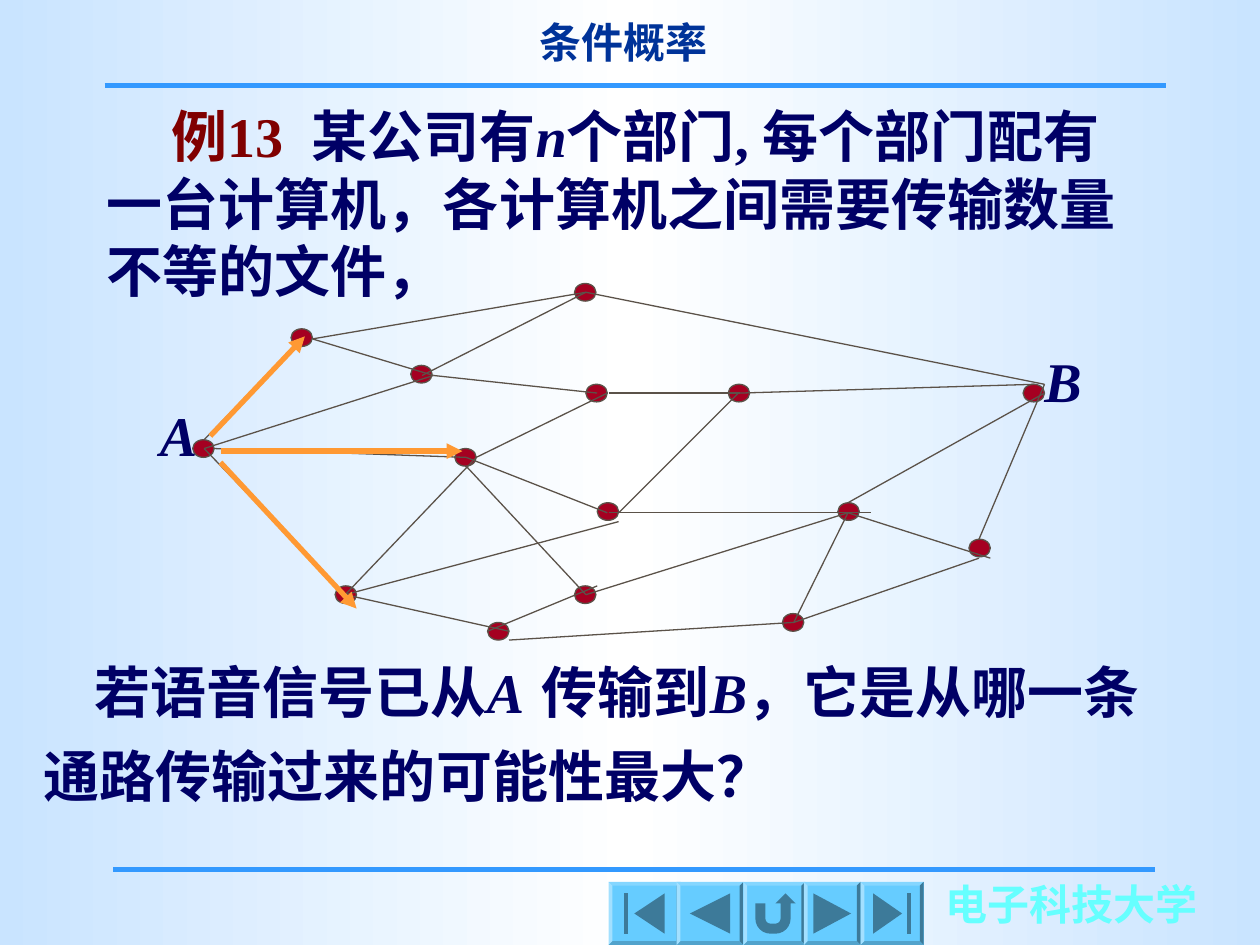
from copy import deepcopy
from math import cos, sin, radians

from pptx import Presentation
from pptx.dml.color import RGBColor
from pptx.enum.shapes import MSO_CONNECTOR as Conn, MSO_SHAPE as Kind
from pptx.enum.text import MSO_ANCHOR as Anchor, PP_ALIGN as Align
from pptx.oxml.ns import qn
from pptx.oxml.xmlchemy import OxmlElement as Elem
from pptx.util import Inches, Pt

NAVY, GREY, BLUE = "000066", "5B5249", "3399FF"
BODY = dict(size=Pt(32), bold=True, italic=False, name="Times New Roman")
HEAD = dict(BODY, size=Pt(24))
ITAL = dict(BODY, italic=True)

# Network: node corners, then edges as x1, y1, x2, y2
NODES = [(1.53, 3.49), (3.26, 2.9), (5.78, 3.05), (2.66, 4.65), (4.74, 3.99),
         (8.12, 3.05), (6.65, 3.99), (4.56, 4.65), (4.56, 2.25), (6.21, 4.87),
         (7.69, 4.28), (3.87, 4.94), (2.31, 2.61), (3.61, 3.56), (4.65, 3.05)]
EDGES = [
    (1.62, 3.56, 2.74, 4.72), (1.7, 3.56, 3.7, 3.63), (1.62, 3.56, 3.44, 2.98),
    (1.62, 3.49, 2.4, 2.69), (2.48, 2.69, 4.65, 2.32), (2.48, 2.69, 3.44, 2.98),
    (3.44, 2.98, 4.74, 3.12), (3.35, 2.98, 4.65, 2.32), (2.74, 4.72, 4.04, 5.01),
    (2.74, 4.72, 3.78, 3.63), (3.7, 3.63, 4.82, 4.07), (3.87, 5.01, 4.74, 4.65),
    (2.74, 4.72, 4.91, 4.14), (3.78, 3.63, 4.82, 3.12), (3.7, 3.7, 4.65, 4.72),
    (4.65, 4.72, 6.73, 4.07), (4.83, 4.07, 6.91, 4.07), (4.91, 4.07, 5.86, 3.12),
    (4.83, 3.12, 5.87, 3.12), (6.73, 3.99, 8.29, 3.12), (6.73, 4.07, 7.86, 4.43),
    (4.04, 5.08, 6.3, 4.94), (6.3, 4.94, 7.77, 4.43), (6.3, 4.94, 6.73, 4.07),
    (7.77, 4.28, 8.29, 3.05), (5.87, 3.12, 8.21, 3.05), (4.65, 2.32, 8.29, 3.05)]
ROUTES = [(1.75, 3.67, 2.83, 4.83), (1.75, 3.58, 3.67, 3.58),
          (1.67, 3.46, 2.42, 2.67)]


def rgb(code):
    return RGBColor.from_string(code)


def fill_back(slide):
    fill = slide.background.fill
    fill.gradient()
    fill.gradient_angle = 0
    stops = slide.element.find(".//" + qn("a:gsLst"))
    stops.append(deepcopy(stops[0]))
    for stop, pos, code in zip(fill.gradient_stops, (0, 0.5, 1),
                               ("C9E4FF", "FFFFFF", "C9E4FF")):
        stop.position = pos
        stop.color.rgb = rgb(code)


def add_line(shapes, ends, code, width, arrow=False):
    line = shapes.add_connector(Conn.STRAIGHT, *map(Inches, ends))
    line.line.color.rgb = rgb(code)
    line.line.width = Pt(width)
    if arrow:
        tail = Elem("a:tailEnd")
        tail.set("type", "triangle")
        line.line._get_or_add_ln().append(tail)
    line._element.spPr.append(Elem("a:effectLst"))


def add_run(para, text, form, code, gap=0):
    run = para.add_run()
    run.text = text
    for key, value in form.items():
        setattr(run.font, key, value)
    run.font.color.rgb = rgb(code)
    if gap:  # extra letter spacing in points
        run._r.get_or_add_rPr().set("spc", str(gap * 100))


def add_text(shapes, box, runs, wrap=False, indent=0):
    frame = shapes.add_textbox(*map(Inches, box)).text_frame
    frame.word_wrap = wrap
    para = frame.paragraphs[0]
    if indent:
        para._p.get_or_add_pPr().set("indent", str(Inches(indent)))
    for run in runs:
        add_run(para, *run)
    return frame


def add_title(slide):
    title = slide.shapes.title
    title.left, title.top, title.width, title.height = map(
        Inches, (3.33, 0.08, 3.24, 0.5))
    frame = title.text_frame
    frame.vertical_anchor = Anchor.TOP
    para = frame.paragraphs[0]
    para.alignment = Align.CENTER
    add_run(para, "条件概率", HEAD, "003399")


def add_net(shapes):
    group = shapes.add_group_shape().shapes
    for x, y in NODES:
        node = group.add_shape(Kind.OVAL, *map(Inches, (x, y, 0.17, 0.14)))
        node.shadow.inherit = False
        node.fill.solid()
        node.fill.fore_color.rgb = rgb("A50021")
        node.line.color.rgb = rgb(GREY)
        node.line.width = Pt(0.75)
    for ends in EDGES:
        add_line(group, ends, GREY, 0.75)
    for name, x, y in (("A", 1.17, 3.13), ("B", 8.19, 2.7)):
        add_text(group, (x, y, 0.49, 0.64), [(name, ITAL, NAVY)])


def add_poly(shapes, points, code):
    start, *rest = [(Inches(x), Inches(y)) for x, y in points]
    pen = shapes.build_freeform(*start)
    pen.add_line_segments(rest, close=True)
    poly = pen.convert_to_shape()
    poly.shadow.inherit = False
    poly.fill.solid()
    poly.fill.fore_color.rgb = rgb(code)
    poly.line.fill.background()


def arc(x, y, r, start, end):
    turns = [radians(start + (end - start) * i / 6) for i in range(7)]
    return [(x + r * cos(t), y + r * sin(t)) for t in turns]


def bar(x, width=0.03):
    return [(x, -0.16), (x + width, -0.16), (x + width, 0.16), (x, 0.16)]


def wedge(tip, base):
    return [(tip, 0), (base, -0.16), (base, 0.16)]


def bend():
    # Round ends share a baseline; the arrow tip is at the top right
    low, left, right = 0.04, -0.03, 0.01
    return [(-0.15, -0.08), (-0.07, -0.08),
            *arc(left, low, 0.04, 180, 90), *arc(right, low, 0.04, 90, 0),
            (0.05, -0.08), (0.01, -0.08), (0.09, -0.16), (0.17, -0.08),
            (0.13, -0.08), *arc(right, low, 0.12, 0, 90),
            *arc(left, low, 0.12, 90, 180)]


def add_button(shapes, left, width, icons):
    group = shapes.add_group_shape().shapes
    top, right, low, rim = 7, left + width, 7.5, 0.03
    outer = [(left, top), (right, top), (right, low), (left, low)]
    inner = [(left + rim, top + rim), (right - rim, top + rim),
             (right - rim, low - rim), (left + rim, low - rim)]
    add_poly(group, outer, "66CCFF")
    # Bevel sides: top, right, bottom, left
    for i, code in enumerate(("85D6FF", "3D7A99", "52A3CC", "A3E0FF")):
        j = (i + 1) % 4
        add_poly(group, [outer[i], outer[j], inner[j], inner[i]], code)
    for icon in icons:
        add_poly(group, [(left + width / 2 + x, 7.25 + y) for x, y in icon],
                 "3D7A99")


def main():
    deck = Presentation()
    deck.slide_width, deck.slide_height = Inches(10), Inches(7.5)
    slide = deck.slides.add_slide(deck.slide_layouts[5])
    shapes = slide.shapes
    fill_back(slide)

    # Header and footer
    add_title(slide)
    add_line(shapes, (0.83, 0.68, 9.25, 0.68), BLUE, 3)
    add_line(shapes, (0.9, 6.9, 9.17, 6.9), BLUE, 3)
    add_text(shapes, (7.41, 6.92, 2.2, 0.5), [("电子科技大学", HEAD, "66FFFF")])

    # Example text
    add_text(shapes, (0.75, 0.76, 8.43, 1.7), [
        ("例13", BODY, "800000"), (" ", BODY, "800000", 8),
        ("某公司有", BODY, NAVY), ("n", ITAL, NAVY),
        ("个部门, 每个部门配有一台计算机，各计算机之间需要传输数量不等的文件，",
         BODY, NAVY)], wrap=True, indent=0.51)

    # Network and the three routes from A
    add_net(shapes)
    for ends in ROUTES:
        add_line(shapes, ends, "FF9933", 3, arrow=True)

    # Question
    frame = add_text(shapes, (0.25, 5.17, 9.78, 1.29), [
        ("若语音信号已从", BODY, NAVY), ("A", ITAL, NAVY), (" ", ITAL, NAVY, 2),
        ("传输到", BODY, NAVY), ("B", ITAL, NAVY),
        ("，它是从哪一条", BODY, NAVY)], indent=0.4)
    para = frame.add_paragraph()
    para.line_spacing, para.space_before = 0.7, Pt(20)
    add_run(para, "通路传输过来的可能性最大？", BODY, NAVY)

    # Navigation buttons
    for left, width, icons in (
            (4.83, 0.57, [wedge(-0.08, 0.16), bar(-0.16)]),
            (5.37, 0.53, [wedge(-0.16, 0.16)]),
            (5.9, 0.49, [bend()]),
            (6.38, 0.45, [wedge(0.15, -0.15)]),
            (6.83, 0.5, [wedge(0.08, -0.15), bar(0.12)])):
        add_button(shapes, left, width, icons)
    deck.save("out.pptx")


if __name__ == "__main__":
    main()
